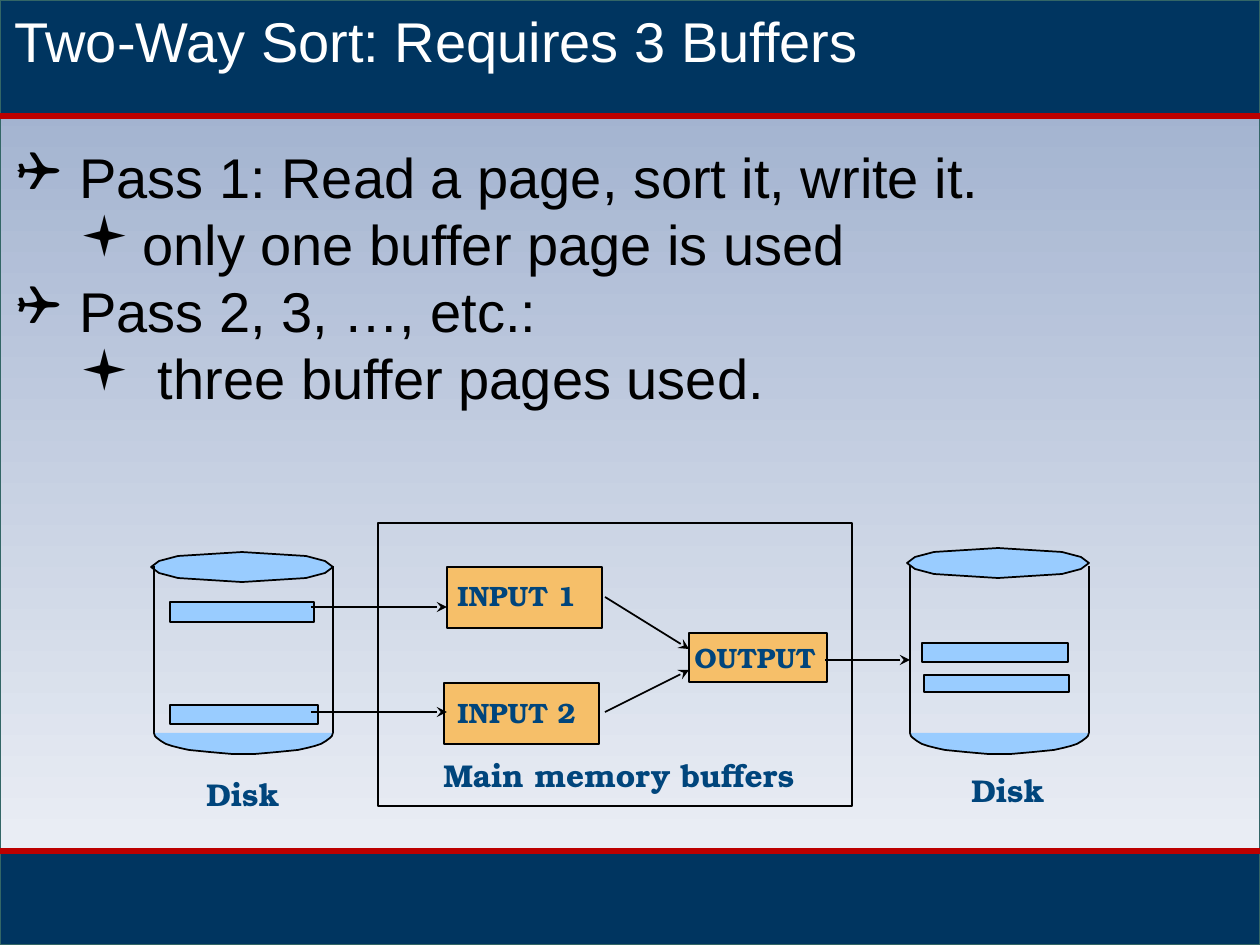
from math import cos, pi, sin

from lxml.etree import SubElement
from pptx import Presentation
from pptx.dml.color import RGBColor
from pptx.enum.shapes import MSO_CONNECTOR, MSO_SHAPE
from pptx.enum.text import MSO_AUTO_SIZE as AUTO
from pptx.oxml.ns import qn
from pptx.util import Pt

PX = 914400 / 126
WIDE, HIGH = 1260, 945

NAVY = RGBColor(0x00, 0x35, 0x60)
TEAL = RGBColor(0x33, 0x66, 0x66)
RED = RGBColor(0xBC, 0x00, 0x00)
HAZE = RGBColor(0x99, 0xAB, 0xCB)
PALE = RGBColor(0xF3, 0xF5, 0xF9)
SKY = RGBColor(0x99, 0xCC, 0xFF)
AMBER = RGBColor(0xF6, 0xBF, 0x69)
INK = RGBColor(0x00, 0x45, 0x7C)
BLACK = RGBColor(0, 0, 0)
WHITE = RGBColor(255, 255, 255)
SANS, SERIF = "Arial", "TeX Gyre Bonum"

TITLE = "Two-Way Sort: Requires 3 Buffers"
POINTS = [
    (0, "Pass 1: Read a page, sort it, write it."),
    (1, "only one buffer page is used"),
    (0, "Pass 2, 3, …, etc.:"),
    (1, " three buffer pages used."),
]
MARKS = "❑▪"

# left, top, width, height
BANDS = [(0, 851, WIDE, 94), (0, 0, WIDE, 116)]
RULES = [116, 851]
PAGES = [(170, 602, 144, 20), (170, 705, 148, 19),
         (922, 643, 146, 19), (924, 675, 145, 17)]
BUFFERS = [(447, 567, 155, 61), (689, 633, 138, 49), (444, 683, 155, 61)]
FRAME = (378, 523, 474, 283)
LABELS = [
    ("Main memory buffers", 18, (431, 750, 377, 50)),
    ("INPUT 1", 16, (445, 572, 144, 46)),
    ("INPUT 2", 16, (445, 689, 144, 46)),
    ("OUTPUT", 16, (682, 634, 146, 46)),
    ("Disk", 18, (959, 765, 98, 50)),
    ("Disk", 18, (194, 769, 98, 50)),
]
ARROWS = [(311, 607, 447, 607), (311, 712, 447, 712), (605, 597, 689, 649),
          (605, 712, 689, 670), (825, 660, 910, 660)]

# middle of each disk's lid
DISKS = [(242, 567), (998, 563)]
LID = [(91, 0), (83, 6), (64, 11), (0, 15)]
WALLS = (-88, 91)
WALL_TOP, WALL_END, BOWL = 566, 733, 21


def emu(*nums):
    return [round(n * PX) for n in nums]


def paint(shape, fill, line=BLACK, width=1):
    shape.shadow.inherit = False
    if fill is None:
        shape.fill.background()
    else:
        shape.fill.solid()
        shape.fill.fore_color.rgb = fill
    shape.line.color.rgb = line
    shape.line.width = Pt(width)


def rect(box, fill, line=BLACK, width=1):
    shape = shapes.add_shape(MSO_SHAPE.RECTANGLE, *emu(*box))
    paint(shape, fill, line, width)
    return shape


def path(dots, close):
    build = shapes.build_freeform(*dots[0], scale=PX)
    build.add_line_segments(dots[1:], close=close)
    paint(build.convert_to_shape(), SKY)


def rule(ends, color=BLACK, width=1, arrow=False):
    line = shapes.add_connector(MSO_CONNECTOR.STRAIGHT, *emu(*ends))
    line.line.color.rgb = color
    line.line.width = Pt(width)
    if arrow:
        SubElement(line.line._get_or_add_ln(), qn("a:tailEnd"), type="stealth")
    SubElement(line._element.spPr, qn("a:effectLst"))


def frame(box, wrap=True):
    text = shapes.add_textbox(*emu(*box)).text_frame
    text.word_wrap = wrap
    text.auto_size = AUTO.SHAPE_TO_FIT_TEXT
    return text


def write(para, text, size, face, color, bold=False):
    run = para.add_run()
    run.text = text
    font = run.font
    font.size, font.name, font.bold = Pt(size), face, bold
    font.color.rgb = color


def bullet(para, level):
    para.level = level
    props = para._p.get_or_add_pPr()
    props.set("marL", str(457200 * (level + 1)))
    props.set("indent", "-457200")
    SubElement(props, qn("a:buFont"), typeface="Wingdings")
    SubElement(props, qn("a:buChar"), char=MARKS[level])


def disk(mid, top):
    """Draw the lid, the two walls and the rounded base of a disk."""
    lower = LID + [(-x, y) for x, y in LID[-2::-1]]
    upper = [(-x, -y) for x, y in lower[1:-1]]
    path([(mid + x, top + y) for x, y in lower + upper], True)
    left, right = [mid + x for x in WALLS]
    for x in (left, right):
        rule((x, WALL_TOP, x, WALL_END))
    half = (right - left) / 2
    turns = [pi * i / 24 for i in range(25)]
    path([(round(left + half - half * cos(t), 2),
           round(WALL_END + BOWL * sin(t), 2)) for t in turns], False)


deck = Presentation()
deck.slide_width, deck.slide_height = emu(WIDE, HIGH)
shapes = deck.slides.add_slide(deck.slide_layouts[6]).shapes

back = rect((0, 0, WIDE, HIGH), PALE, TEAL, 0.75)
back.fill.gradient()
back.fill.gradient_angle = 270
for stop, color, place in zip(back.fill.gradient_stops, (HAZE, PALE), (0, 1)):
    stop.color.rgb = color
    stop.position = place
for box in BANDS:
    rect(box, NAVY, TEAL, 0.75)
for y in RULES:
    rule((0, y, WIDE, y), RED, 3.75)

write(frame((2, 0, 1258, 81)).paragraphs[0], TITLE, 32, SANS, WHITE)
body = frame((4, 136, 1256, 285))
for i, (level, text) in enumerate(POINTS):
    para = body.add_paragraph() if i else body.paragraphs[0]
    bullet(para, level)
    write(para, text, 32, SANS, BLACK)

for box in PAGES:
    rect(box, SKY)
for box in BUFFERS:
    rect(box, AMBER)
rect(FRAME, None)
for spot in DISKS:
    disk(*spot)
for text, size, box in LABELS:
    label = frame(box, wrap=False)
    write(label.paragraphs[0], text, size, SERIF, INK, True)
for ends in ARROWS:
    rule(ends, arrow=True)

deck.save("out.pptx")
